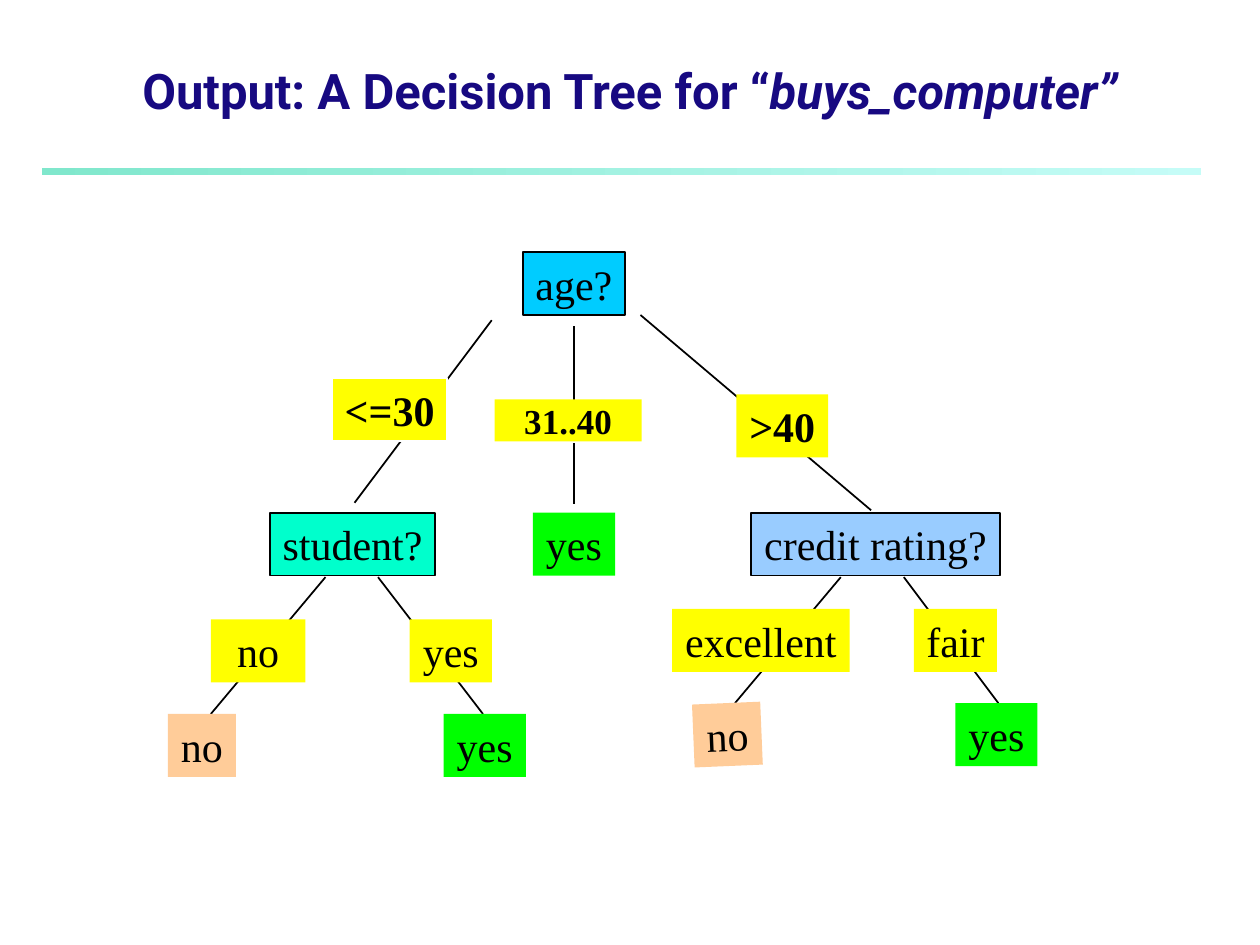
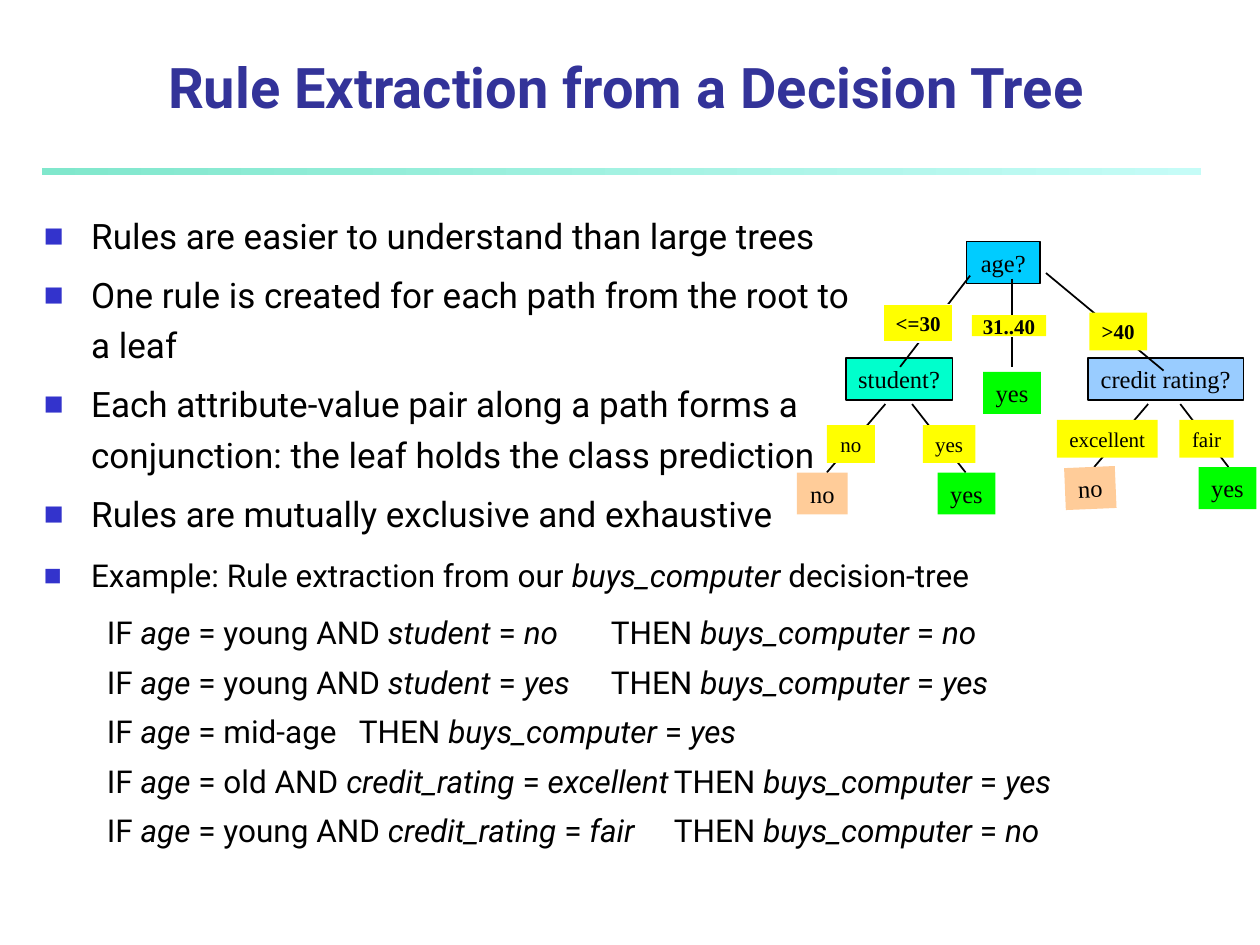
from dataclasses import dataclass
from lxml.etree import SubElement
from pptx import Presentation
from pptx.dml.color import RGBColor
from pptx.enum.shapes import MSO_CONNECTOR as Connector, MSO_SHAPE as Shape
from pptx.enum.text import MSO_ANCHOR as Anchor, PP_ALIGN as Align
from pptx.oxml.ns import qn
from pptx.util import Pt

BLACK = RGBColor(0x00, 0x00, 0x00)
WHITE = RGBColor(0xFF, 0xFF, 0xFF)
NAVY = RGBColor(0x17, 0x09, 0x81)
INDIGO = RGBColor(0x33, 0x33, 0x99)
BULLET_BLUE = RGBColor(0x33, 0x33, 0xCC)
BAND_START = RGBColor(0x80, 0xE7, 0xCC)
BAND_END = RGBColor(0xC5, 0xFC, 0xF7)
SKY = RGBColor(0x00, 0xCC, 0xFF)
AQUA = RGBColor(0x00, 0xFF, 0xCC)
PALE_BLUE = RGBColor(0x99, 0xCC, 0xFF)
YELLOW = RGBColor(0xFF, 0xFF, 0x00)
GREEN = RGBColor(0x00, 0xFF, 0x00)
PEACH = RGBColor(0xFF, 0xCC, 0x99)

SANS = "Roboto"
SERIF = "Times New Roman"


@dataclass
class TreeStyle:
    """Scale of the tree skeleton and the box metrics that go with it."""
    scale_x: float
    scale_y: float
    node_size: int
    label_size: int
    range_size: int
    node_height: float
    label_height: float
    range_height: float
    small: bool


LARGE = TreeStyle(1, 1, 24, 24, 20, 36, 36, 24, False)
SMALL = TreeStyle(0.51, 0.5, 14, 12, 12, 24, 21.6, 12, True)

# Text, centre x, top, (large, small width), fill, (x, y) shift when small
QUESTIONS = [
    ("age?", 232, 0, (58, 42), SKY, (-5, 0)),
    ("student?", 105.5, 149, (94, 61), AQUA, (0, -8)),
    ("credit rating?", 404.3, 149, (142, 89), PALE_BLUE, (0, -8)),
]
# Text, centre x, top, (large, small width)
ANSWERS = [
    ("<=30", 126.7, 72, (66, 40)),
    (">40", 351, 81.4, (52.5, 33)),
    ("31..40", 228.6, 84.2, (84, 42.5)),
    ("fair", 450, 204, (47.5, 31)),
    ("excellent", 338.8, 204, (101.5, 57.6)),
    ("yes", 161.6, 210, (47, 30)),
    ("no", 51.5, 210, (54, 27.4)),
]
# Text, centre x, top, rotation
LEAVES = [
    ("no", 19.4, 264, 0),
    ("yes", 181, 264, 0),
    ("yes", 473.4, 257.8, 0),
    ("yes", 232, 149, 0),
    ("no", 319.7, 257.8, -2.4),
]
LEAF_LOOK = {"yes": ((47, 33), GREEN), "no": ((39, 29), PEACH)}
BRANCHES = [
    (185, 39, 106.6, 143.3), (232, 42.5, 232, 85.7), (270, 36, 401.8, 147.6),
    (90, 185.8, 24.5, 264), (120, 185.8, 180, 264), (384.5, 185.8, 324, 257.8),
    (420.5, 185.8, 474.5, 257.8), (232, 109.4, 232, 144),
]

# Asterisks switch italics on and off
POINTS = [
    "Rules are easier to understand than large trees",
    "One rule is created for each path from the root to a leaf",
    "Each attribute-value pair along a path forms a conjunction: "
    "the leaf holds the class prediction",
    "Rules are mutually exclusive and exhaustive",
]
EXAMPLE = "Example: Rule extraction from our *buys_computer* decision-tree"
# Condition, outcome, tab stop of the outcome
RULES = [
    ("young AND *student* = *no*", "no", 352),
    ("young AND *student* = *yes*", "yes", 354.5),
    ("mid-age", "yes", 364.5),
    ("old AND *credit_rating* = *excellent*", "yes", 366),
    ("young AND *credit_rating* = *fair*", "no", 360),
]


# ---- Text ----

def write(para, text, size=24, font=SERIF, color=BLACK, bold=False,
          align=Align.LEFT, before=0, spacing=None):
    """Fill a paragraph; asterisks in the text switch italics."""
    para.alignment = align
    para.space_before = Pt(before)
    if spacing:
        para.line_spacing = spacing
    for index, piece in enumerate(text.split("*")):
        if piece:
            span = para.add_run()
            span.text = piece
            span.font.size = Pt(size)
            span.font.name = font
            span.font.color.rgb = color
            span.font.bold = bold
            span.font.italic = index % 2 == 1


def add_bullet(para):
    props = para._p.get_or_add_pPr()
    props.set("marL", str(Pt(27)))
    props.set("indent", str(Pt(-27)))
    color = SubElement(props, qn("a:buClr"))
    SubElement(color, qn("a:srgbClr"), val=str(BULLET_BLUE))
    SubElement(props, qn("a:buSzPct"), val="60000")
    SubElement(props, qn("a:buFont"), typeface=SANS)
    SubElement(props, qn("a:buChar"), char="■")


def add_tab(para, position):
    """Indent the first line and place one tab stop."""
    props = para._p.get_or_add_pPr()
    props.set("marL", "0")
    props.set("indent", str(Pt(36)))
    tabs = SubElement(props, qn("a:tabLst"))
    SubElement(tabs, qn("a:tab"), pos=str(Pt(position)), algn="l")


def text_box(page, left, top, width, height, anchor=Anchor.TOP):
    box = page.shapes.add_textbox(Pt(left), Pt(top), Pt(width), Pt(height))
    box.text_frame.word_wrap = True
    box.text_frame.vertical_anchor = anchor
    return box.text_frame


def paragraphs(frame):
    """Yield the paragraphs of a frame, adding a new one each time."""
    yield frame.paragraphs[0]
    while True:
        yield frame.add_paragraph()


# ---- Parts shared by the slides ----

def add_page(deck, title, left, width, size, color):
    """Blank page with the gradient band and a centred title."""
    page = deck.slides.add_slide(deck.slide_layouts[6])
    band = page.shapes.add_shape(Shape.RECTANGLE, Pt(24), Pt(96), Pt(662.4), Pt(4))
    band.shadow.inherit = False
    band.line.fill.background()
    band.fill.gradient()
    band.fill.gradient_angle = 0
    for stop, tint in zip(band.fill.gradient_stops, (BAND_START, BAND_END)):
        stop.color.rgb = tint
    frame = text_box(page, left, 24, width, 48, Anchor.BOTTOM)
    write(frame.paragraphs[0], title, size=size, font=SANS, color=color,
          bold=True, align=Align.CENTER)
    return page


def add_node(page, text, center, top, width, height, fill, size,
             line=None, bold=False, anchor=Anchor.TOP, rotation=0):
    node = page.shapes.add_shape(Shape.RECTANGLE, Pt(center - width / 2), Pt(top),
                                 Pt(width), Pt(height))
    node.shadow.inherit = False
    node.rotation = rotation
    node.fill.solid()
    node.fill.fore_color.rgb = fill
    if line is None:
        node.line.fill.background()
    else:
        node.line.color.rgb = line
        node.line.width = Pt(1)
    node.text_frame.word_wrap = False
    node.text_frame.vertical_anchor = anchor
    write(node.text_frame.paragraphs[0], text, size=size, bold=bold, align=Align.CENTER)


def add_branch(page, start, end):
    branch = page.shapes.add_connector(Connector.STRAIGHT, *map(Pt, start + end))
    branch.line.color.rgb = BLACK
    branch.line.width = Pt(1)
    SubElement(branch._element.spPr, qn("a:effectLst"))


def add_tree(page, left, top, style):
    """Decision tree with its top left corner at the given point."""
    def place(x, y):
        return left + x * style.scale_x, top + y * style.scale_y

    # Questions
    for text, x, y, widths, fill, shift in QUESTIONS:
        center, node_top = place(x, y)
        if style.small:
            center, node_top = center + shift[0], node_top + shift[1]
        add_node(page, text, center, node_top, widths[style.small], style.node_height,
                 fill, style.node_size, line=BLACK)

    # Branches
    for x1, y1, x2, y2 in BRANCHES:
        add_branch(page, place(x1, y1), place(x2, y2))

    # Answers on the branches
    for text, x, y, widths in ANSWERS:
        is_range = text == "31..40"
        add_node(page, text, *place(x, y), widths[style.small],
                 style.range_height if is_range else style.label_height, YELLOW,
                 style.range_size if is_range else style.label_size,
                 line=WHITE if text == "<=30" else None, bold=not text.isalpha(),
                 anchor=Anchor.MIDDLE if is_range else Anchor.TOP)

    # Leaves
    for text, x, y, rotation in LEAVES:
        widths, fill = LEAF_LOOK[text]
        add_node(page, text, *place(x, y), widths[style.small], style.node_height,
                 fill, style.node_size, rotation=rotation)


# ---- Text regions of the rule slide ----

def add_points(page, left, top, width, height):
    frame = text_box(page, left, top, width, height)
    for index, (text, para) in enumerate(zip(POINTS, paragraphs(frame))):
        add_bullet(para)
        write(para, text, size=20, font=SANS, before=5 if index else 0, spacing=1.2)


def add_rules(page, left, top, width, height):
    frame = text_box(page, left, top, width, height)
    add_bullet(frame.paragraphs[0])
    write(frame.paragraphs[0], EXAMPLE, size=18, font=SANS, spacing=1.1)
    for index, (condition, outcome, stop) in enumerate(RULES):
        para = frame.add_paragraph()
        add_tab(para, stop)
        write(para, f"IF *age* = {condition}\tTHEN *buys_computer* = *{outcome}*",
              size=18, font=SANS, before=4.5 if index else 9, spacing=1.1)


def main():
    deck = Presentation()
    deck.slide_width, deck.slide_height = Pt(720), Pt(540)

    page = add_page(deck, "Output: A Decision Tree for “*buys_computer”*",
                    0, 720, 28, NAVY)
    add_tree(page, 96, 144, LARGE)

    page = add_page(deck, "Rule Extraction from a Decision Tree",
                    12, 692, 32, INDIGO)
    add_tree(page, 460, 138, SMALL)
    add_rules(page, 18, 312, 690, 186)
    add_points(page, 18, 114, 480, 210)

    deck.save("out.pptx")


if __name__ == "__main__":
    main()
